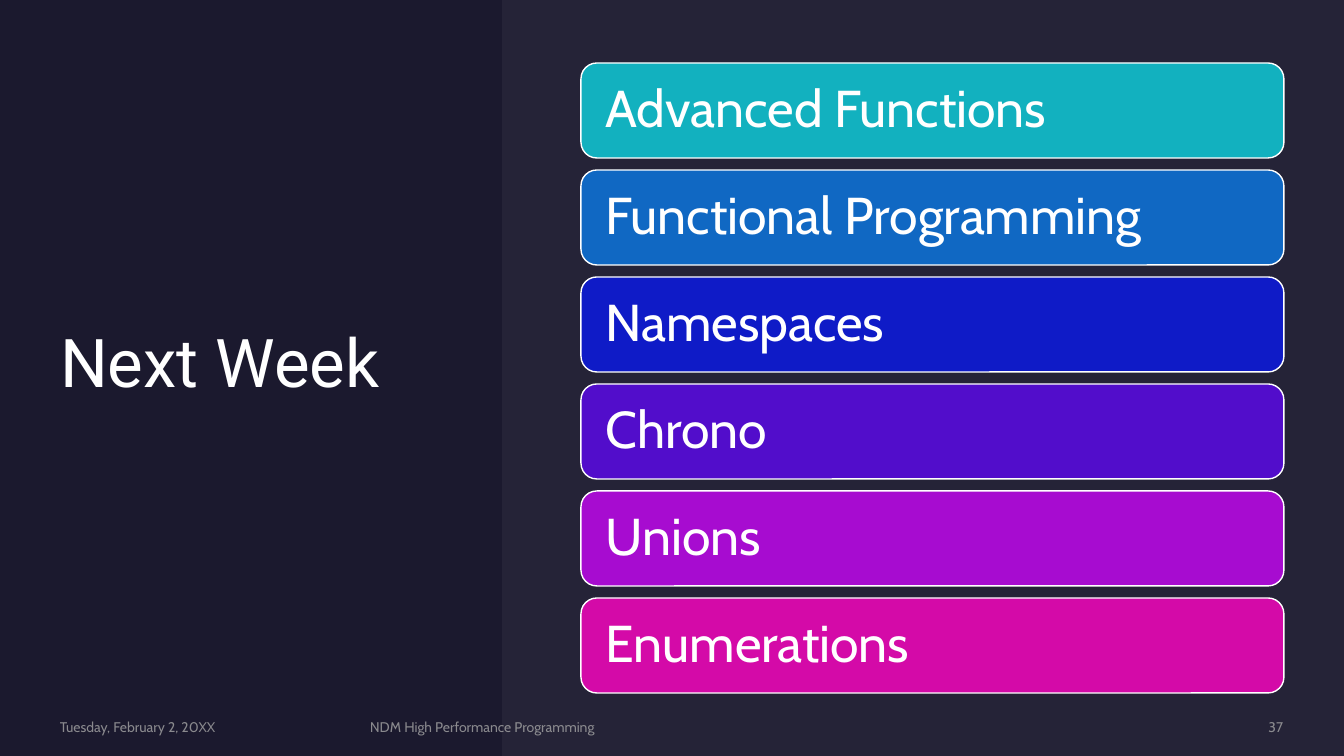
from dataclasses import dataclass

from lxml.etree import SubElement
from pptx import Presentation
from pptx.dml.color import RGBColor
from pptx.enum.shapes import MSO_SHAPE
from pptx.enum.text import MSO_ANCHOR, PP_ALIGN
from pptx.oxml.ns import qn
from pptx.util import Emu, Pt

SLIDE_WIDTH, SLIDE_HEIGHT = 1344, 756
EMU_PER_PX = 12192000 / SLIDE_WIDTH


@dataclass(frozen=True)
class Theme:
    """Colours, fonts and type sizes of the slide."""

    backdrop: str = "1B192E"
    panel: str = "E4E3F0"
    panel_alpha: int = 5
    white: str = "FFFFFF"
    muted: str = "A6A6A6"
    muted_alpha: int = 80
    heading_font: str = "Roboto"
    body_font: str = "Cabin"
    title_size: int = 48
    topic_size: int = 37
    footer_size: int = 10
    outline: int = 1


THEME = Theme()

TOPICS = [
    ("Advanced Functions", "12B1BF"),
    ("Functional Programming", "1068C3"),
    ("Namespaces", "0F1BC7"),
    ("Chrono", "520DCB"),
    ("Unions", "A70CD0"),
    ("Enumerations", "D40AA8"),
]
TOPIC_LEFT, TOPIC_TOP, TOPIC_WIDTH, TOPIC_HEIGHT = 581, 63, 703, 95
TOPIC_PITCH = 107
TOPIC_INSET = 20

FOOTERS = [
    ("Tuesday, February 2, 20XX", 60, 290, PP_ALIGN.LEFT),
    ("NDM High Performance Programming", 370, 704, PP_ALIGN.LEFT),
    ("37", 1097, 186, PP_ALIGN.RIGHT),
]
FOOTER_TOP, FOOTER_HEIGHT = 718, 17


def px(length):
    """Turn pixels into EMU."""
    return Emu(round(length * EMU_PER_PX))


def paint(fill, color, alpha=100):
    """Give a fill a solid colour, with an opacity in percent."""
    fill.solid()
    fill.fore_color.rgb = RGBColor.from_string(color)
    if alpha < 100:
        tint = fill._xPr.find(qn("a:solidFill"))[0]
        SubElement(tint, qn("a:alpha"), val=str(alpha * 1000))


def add_box(slide, preset, left, top, width, height, color, alpha=100):
    """Add a filled preset shape without outline or shadow."""
    box = slide.shapes.add_shape(preset, px(left), px(top), px(width), px(height))
    box.shadow.inherit = False
    paint(box.fill, color, alpha)
    box.line.fill.background()
    return box


def write(frame, text, font, size, color, alpha=100, align=PP_ALIGN.LEFT, inset=0):
    """Write one vertically centred line into a text frame."""
    frame.word_wrap = True
    frame.vertical_anchor = MSO_ANCHOR.MIDDLE
    frame.margin_left = frame.margin_right = px(inset)
    frame.margin_top = frame.margin_bottom = 0
    line = frame.paragraphs[0]
    line.alignment = align
    run = line.add_run()
    run.text = text
    run.font.name = font
    run.font.size = Pt(size)
    paint(run.font.fill, color, alpha)
    return line


def add_title(slide, text):
    """Add the heading on the left side."""
    title = slide.shapes.add_textbox(px(60), px(60), px(393), px(611))
    line = write(title.text_frame, text, THEME.heading_font, THEME.title_size, THEME.white)
    line.line_spacing = 0.9


def add_topic(slide, text, color, top):
    """Add one rounded topic card."""
    card = add_box(slide, MSO_SHAPE.ROUNDED_RECTANGLE,
                   TOPIC_LEFT, top, TOPIC_WIDTH, TOPIC_HEIGHT, color)
    paint(card.line.fill, THEME.white)
    card.line.width = Pt(THEME.outline)
    line = write(card.text_frame, text, THEME.body_font, THEME.topic_size,
                 THEME.white, inset=TOPIC_INSET)
    line.line_spacing = 0.9


def add_footer(slide, text, left, width, align):
    """Add one muted footer entry."""
    footer = slide.shapes.add_textbox(px(left), px(FOOTER_TOP), px(width), px(FOOTER_HEIGHT))
    write(footer.text_frame, text, THEME.body_font, THEME.footer_size,
          THEME.muted, THEME.muted_alpha, align)


def main():
    """Build the slide and save it."""
    deck = Presentation()
    deck.slide_width, deck.slide_height = px(SLIDE_WIDTH), px(SLIDE_HEIGHT)
    slide = deck.slides.add_slide(deck.slide_layouts[6])
    paint(slide.background.fill, THEME.backdrop)
    add_box(slide, MSO_SHAPE.RECTANGLE, 0, 0, SLIDE_WIDTH, SLIDE_HEIGHT, THEME.backdrop)
    add_title(slide, "Next Week")
    add_box(slide, MSO_SHAPE.RECTANGLE, 502, 0, 842, SLIDE_HEIGHT,
            THEME.panel, THEME.panel_alpha)
    for text, left, width, align in FOOTERS:
        add_footer(slide, text, left, width, align)
    for row, (topic, color) in enumerate(TOPICS):
        add_topic(slide, topic, color, TOPIC_TOP + row * TOPIC_PITCH)
    deck.save("out.pptx")


if __name__ == "__main__":
    main()
